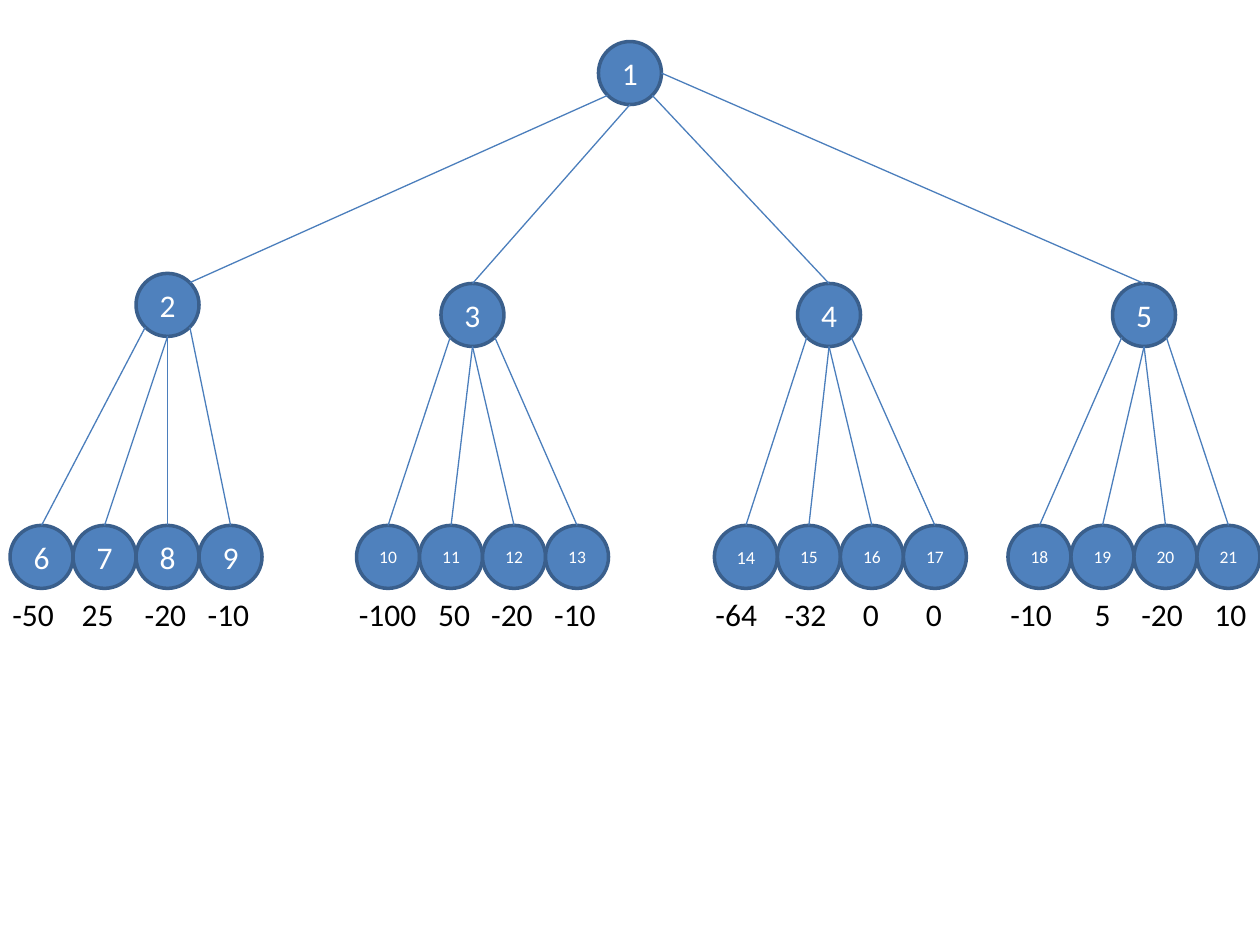
from dataclasses import dataclass
from math import sqrt
from lxml import etree
from pptx import Presentation
from pptx.dml.color import RGBColor as Rgb
from pptx.enum.shapes import MSO_CONNECTOR as Conn, MSO_SHAPE as Shape
from pptx.enum.text import MSO_ANCHOR as Anchor, MSO_AUTO_SIZE as Fit, PP_ALIGN as Align
from pptx.oxml.ns import qn
from pptx.util import Inches, Pt


@dataclass
class Theme:
    font: str = "Calibri"
    fill: Rgb = Rgb(0x4F, 0x81, 0xBD)
    rim: Rgb = Rgb(0x3A, 0x5F, 0x8C)
    edge: Rgb = Rgb(0x4B, 0x7E, 0xBC)
    light: Rgb = Rgb(255, 255, 255)
    dark: Rgb = Rgb(0, 0, 0)
    big: float = 18
    mid: float = 10.5
    small: float = 10


theme = Theme()
deck = Presentation()
deck.slide_width, deck.slide_height = Inches(10), Inches(7.5)
slide = deck.slides.add_slide(deck.slide_layouts[6])
shapes = slide.shapes


def write(shape, text, size=theme.big, color=theme.dark, align=Align.LEFT,
          anchor=Anchor.TOP, wrap=False, fit=Fit.NONE):
    frame = shape.text_frame
    frame.word_wrap, frame.auto_size = wrap, fit
    frame.vertical_anchor = anchor
    par = frame.paragraphs[0]
    par.alignment = align
    run = par.add_run()
    run.text = text
    run.font.name, run.font.size = theme.font, Pt(size)
    run.font.color.rgb = color


# Tree: branch number -> left, top, left of its first leaf
size = 0.5
leaf_top, label_top = 4.17, 4.67
branches = {2: (1.08, 2.17, 0.08), 3: (3.5, 2.25, 2.83),
            4: (6.33, 2.25, 5.67), 5: (8.83, 2.25, 8)}
nodes = {1: (4.75, 0.33)}
kids = {1: list(branches)}
for num, (left, top, first) in branches.items():
    nodes[num] = (left, top)
    kids[num] = [4 * num - 2 + i for i in range(4)]
    for i, leaf in enumerate(kids[num]):
        nodes[leaf] = (first + i * size, leaf_top)

# Circles
for num, (left, top) in nodes.items():
    dot = shapes.add_shape(Shape.OVAL, Inches(left), Inches(top), Inches(size), Inches(size))
    dot.shadow.inherit = False
    dot.fill.solid()
    dot.fill.fore_color.rgb = theme.fill
    dot.line.color.rgb, dot.line.width = theme.rim, Pt(2)
    points = theme.big if num < 10 else theme.mid if num == 14 else theme.small
    write(dot, str(num), size=points, color=theme.light, align=Align.CENTER,
          anchor=Anchor.MIDDLE, wrap=True)

# Edges, between points on the rims of the circles
mid = size / 2
diag = mid / sqrt(2)
sites = {"t": (mid, 0), "tr": (mid + diag, mid - diag), "r": (size, mid),
         "br": (mid + diag, mid + diag), "b": (mid, size), "bl": (mid - diag, mid + diag)}
for num, group in kids.items():
    starts = ("bl", "b", "br", "r") if num == 1 else ("bl", "b", "b", "br")
    for kid, start in zip(group, starts):
        end = "tr" if kid == 2 else "t"
        ends = [Inches(a + b) for node, site in ((num, start), (kid, end))
                for a, b in zip(nodes[node], sites[site])]
        edge = shapes.add_connector(Conn.STRAIGHT, *ends)
        edge.line.color.rgb, edge.line.width = theme.edge, Pt(0.75)
        etree.SubElement(edge._element.spPr, qn("a:effectLst"))

# Leaf values, each with its left edge
values = [
    ("-50", 0), ("25", 0.55), ("-20", 1.05), ("-10", 1.55),
    ("-100", 2.75), ("50", 3.38), ("-20", 3.8), ("-10", 4.3),
    ("-64", 5.58), ("-32", 6.13), ("0", 6.75), ("0", 7.25),
    ("-10", 7.92), ("5", 8.59), ("-20", 8.96), ("10", 9.54),
]
for text, left in values:
    width = 0.2 + 0.13 * len(text.strip("-")) + 0.08 * text.count("-")
    label = shapes.add_textbox(Inches(left), Inches(label_top), Inches(width), Inches(0.4))
    write(label, text, fit=Fit.SHAPE_TO_FIT_TEXT)

deck.save("out.pptx")
